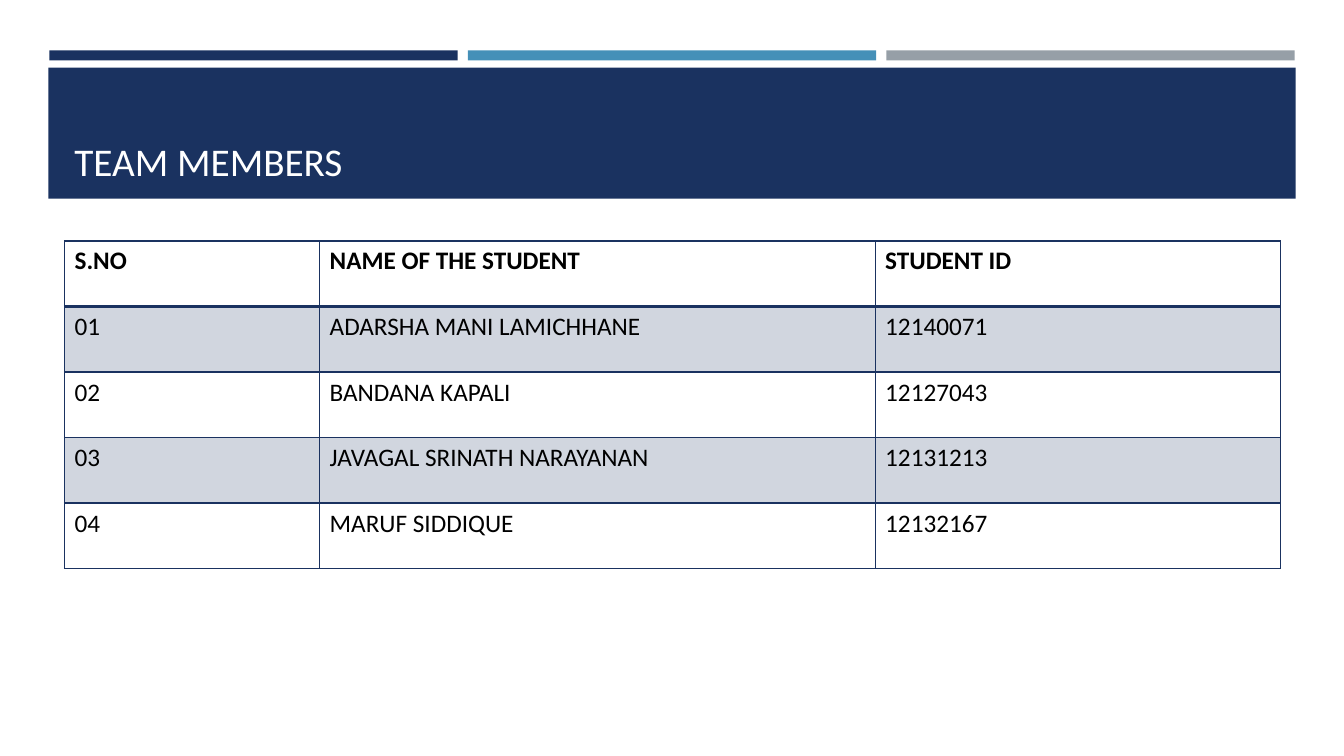
from dataclasses import dataclass

from lxml.etree import SubElement
from pptx import Presentation
from pptx.dml.color import RGBColor
from pptx.enum.shapes import MSO_SHAPE
from pptx.enum.text import MSO_ANCHOR
from pptx.oxml.ns import qn
from pptx.util import Inches, Pt


@dataclass(frozen=True)
class Theme:
    navy: str = "1A3260"
    blue: str = "4590B8"
    gray: str = "969FA7"
    white: str = "FFFFFF"
    black: str = "000000"
    band_opacity: int = 20
    font: str = "Calibri"
    title_size: int = 28
    table_size: int = 18
    border: float = 1
    header_border: float = 2


THEME = Theme()

MEMBERS = [
    ("S.NO", "NAME OF THE STUDENT", "STUDENT ID"),
    ("01", "ADARSHA MANI LAMICHHANE", "12140071"),
    ("02", "BANDANA KAPALI", "12127043"),
    ("03", "JAVAGAL SRINATH NARAYANAN", "12131213"),
    ("04", "MARUF SIDDIQUE", "12132167"),
]
COLUMN_WIDTHS = (2.53, 5.51, 4.02)
ROW_HEIGHT = 0.65


def add_bar(slide, left, top, width, height, color):
    bar = slide.shapes.add_shape(
        MSO_SHAPE.RECTANGLE, Inches(left), Inches(top), Inches(width), Inches(height)
    )
    bar.shadow.inherit = False
    bar.fill.solid()
    bar.fill.fore_color.rgb = RGBColor.from_string(color)
    bar.line.fill.background()


def add_run(paragraph, text, size, color, bold=False):
    run = paragraph.add_run()
    run.text = text
    run.font.name = THEME.font
    run.font.size = Pt(size)
    run.font.bold = bold
    run.font.color.rgb = RGBColor.from_string(color)


def add_title(slide, text):
    title = slide.shapes.add_textbox(Inches(0.64), Inches(0.77), Inches(12.06), Inches(1.11))
    frame = title.text_frame
    frame.word_wrap = True
    frame.vertical_anchor = MSO_ANCHOR.BOTTOM
    add_run(frame.paragraphs[0], text, THEME.title_size, THEME.white)


def set_borders(cell, top, bottom):
    properties = cell._tc.get_or_add_tcPr()
    widths = {"a:lnL": THEME.border, "a:lnR": THEME.border, "a:lnT": top, "a:lnB": bottom}
    for side, width in widths.items():
        line = SubElement(properties, qn(side), w=str(Pt(width)))
        fill = SubElement(line, qn("a:solidFill"))
        SubElement(fill, qn("a:srgbClr"), val=THEME.navy)


def set_band(cell):
    cell.fill.solid()
    cell.fill.fore_color.rgb = RGBColor.from_string(THEME.navy)
    color = cell._tc.tcPr.find(qn("a:solidFill")).find(qn("a:srgbClr"))
    SubElement(color, qn("a:alpha"), val=str(THEME.band_opacity * 1000))


def add_member_table(slide):
    table = slide.shapes.add_table(
        len(MEMBERS), len(COLUMN_WIDTHS), Inches(0.64), Inches(2.39),
        Inches(sum(COLUMN_WIDTHS)), Inches(ROW_HEIGHT * len(MEMBERS)),
    ).table
    for column, width in zip(table.columns, COLUMN_WIDTHS):
        column.width = Inches(width)
    for row_index, values in enumerate(MEMBERS):
        table.rows[row_index].height = Inches(ROW_HEIGHT)
        top = THEME.header_border if row_index == 1 else THEME.border
        bottom = THEME.header_border if row_index == 0 else THEME.border
        for column_index, value in enumerate(values):
            cell = table.cell(row_index, column_index)
            set_borders(cell, top, bottom)
            if row_index % 2:
                set_band(cell)
            else:
                cell.fill.background()
            paragraph = cell.text_frame.paragraphs[0]
            add_run(paragraph, value, THEME.table_size, THEME.black, row_index == 0)


def main():
    presentation = Presentation()
    presentation.slide_width = Inches(13.33)
    presentation.slide_height = Inches(7.5)
    slide = presentation.slides.add_slide(presentation.slide_layouts[6])
    for index, color in enumerate((THEME.navy, THEME.blue, THEME.gray)):
        add_bar(slide, 0.49 + index * 4.15, 0.5, 4.05, 0.1, color)
    add_bar(slide, 0.48, 0.67, 12.37, 1.3, THEME.navy)
    add_title(slide, "TEAM MEMBERS")
    add_member_table(slide)
    presentation.save("out.pptx")


if __name__ == "__main__":
    main()
